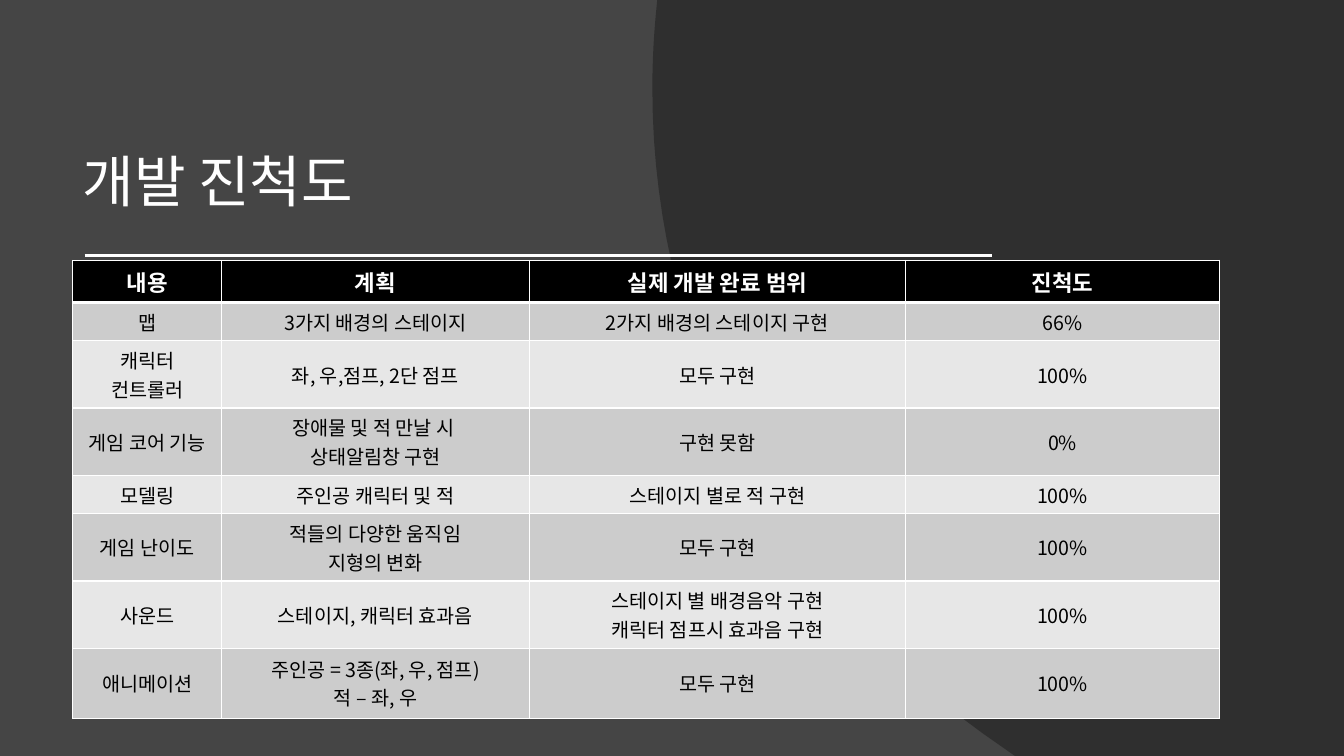
from lxml import etree
from pptx import Presentation
from pptx import util as u
from pptx.dml import color
from pptx.enum import shapes, text
from pptx.oxml import ns

FONT = "Noto Sans CJK KR"
WHITE, BLACK = "FFFFFF", "000000"
BANDS = ("CCCCCC", "E7E7E7")
COLUMNS = (106.5, 219.5, 269, 224)
HEIGHTS = (30, 27.5, 48, 48, 27.5, 48, 48, 50)
PROGRESS = (
    ("내용", "계획", "실제 개발 완료 범위", "진척도"),
    ("맵", "3가지 배경의 스테이지", "2가지 배경의 스테이지 구현", "66%"),
    ("캐릭터 컨트롤러", "좌, 우,점프, 2단 점프", "모두 구현", "100%"),
    ("게임 코어 기능", "장애물 및 적 만날 시 \n상태알림창 구현", "구현 못함", "0%"),
    ("모델링", "주인공 캐릭터 및 적", "스테이지 별로 적 구현", "100%"),
    ("게임 난이도", "적들의 다양한 움직임\n지형의 변화", "모두 구현", "100%"),
    ("사운드", "스테이지, 캐릭터 효과음",
     "스테이지 별 배경음악 구현\n캐릭터 점프시 효과음 구현", "100%"),
    ("애니메이션", "주인공 = 3종(좌, 우, 점프)\n적 – 좌, 우", "모두 구현", "100%"),
)


def rgb(value):
    return color.RGBColor.from_string(value)


def add_child(parent, tag, **attributes):
    return etree.SubElement(parent, ns.qn(tag), attributes)


def paint(fill, value):
    fill.solid()
    fill.fore_color.rgb = rgb(value)


def write(frame, words, size, ink, bold=False, align=text.PP_ALIGN.LEFT,
          spacing=None, after=None):
    frame.word_wrap = True
    for index, line in enumerate(words.split("\n")):
        para = frame.add_paragraph() if index else frame.paragraphs[0]
        para.alignment = align
        para.line_spacing = spacing
        para.space_after = after
        span = para.add_run()
        span.text = line
        span.font.size = u.Pt(size)
        span.font.bold = bold
        span.font.name = FONT
        span.font.color.rgb = rgb(ink)
        add_child(span.font._element, "a:ea", typeface=FONT)


def bezier(start, first, second, end, steps=32):
    for step in range(1, steps + 1):
        t = step / steps
        weights = ((1 - t) ** 3, 3 * t * (1 - t) ** 2, 3 * t * t * (1 - t), t ** 3)
        yield tuple(sum(w * point[axis] for w, point in
                        zip(weights, (start, first, second, end))) for axis in (0, 1))


def draw_backdrop(page, box):
    left, top, width, height = box
    bottom_bend, side, top_bend = (250.5, 534), (0, 63.5), (3, 5)
    outline = [(width, 0), (width, height), (259, height), bottom_bend]
    outline += bezier(bottom_bend, (99.5, 432), (0, 259), side)
    outline += bezier(side, (0, 44), (1, 24.5), top_bend)
    points = [(u.Pt(left + x), u.Pt(top + y)) for x, y in outline]
    builder = page.shapes.build_freeform(u.Pt(left + 3.5), u.Pt(top))
    builder.add_line_segments(points, close=True)
    backdrop = builder.convert_to_shape()
    backdrop.shadow.inherit = False
    paint(backdrop.fill, "262626")
    backdrop.line.fill.background()
    tint = backdrop._element.spPr.find(ns.qn("a:solidFill"))[0]
    add_child(tint, "a:alpha", val="70000")


def draw_heading(page, box):
    left, top, width, height = box
    rule_left, rule_top = left + 8.5, top + 153.5
    rule = page.shapes.add_connector(
        shapes.MSO_CONNECTOR.STRAIGHT, u.Pt(rule_left), u.Pt(rule_top),
        u.Pt(rule_left + 648), u.Pt(rule_top))
    rule.line.color.rgb = rgb(WHITE)
    rule.line.width = u.Pt(1.5)
    add_child(rule._element.spPr, "a:effectLst")
    heading = page.shapes.add_textbox(*map(u.Pt, (left, top, width, height)))
    heading.text_frame.vertical_anchor = text.MSO_ANCHOR.BOTTOM
    write(heading.text_frame, "개발 진척도", 40, WHITE, spacing=0.9, after=u.Pt(6))


def add_border(cell, side, width):
    properties = cell._tc.get_or_add_tcPr()
    line = add_child(properties, "a:ln" + side, w=str(u.Pt(width)))
    add_child(add_child(line, "a:solidFill"), "a:srgbClr", val=WHITE)


def draw_progress(page, box):
    frame = page.shapes.add_table(len(PROGRESS), len(COLUMNS), *map(u.Pt, box))
    table = frame.table
    for column, width in zip(table.columns, COLUMNS):
        column.width = u.Pt(width)
    for row, height in zip(table.rows, HEIGHTS):
        row.height = u.Pt(height)
    for r, entries in enumerate(PROGRESS):
        header = r == 0
        for c, words in enumerate(entries):
            cell = table.cell(r, c)
            cell.vertical_anchor = text.MSO_ANCHOR.MIDDLE
            for side in "LRTB":
                heavy = (r, side) in ((0, "B"), (1, "T"))
                add_border(cell, side, 3 if heavy else 1)
            paint(cell.fill, BLACK if header else BANDS[(r - 1) % 2])
            write(cell.text_frame, words, 16 if header else 14,
                  WHITE if header else BLACK, bold=header,
                  align=text.PP_ALIGN.CENTER)


deck = Presentation()
deck.slide_width, deck.slide_height = u.Pt(960), u.Pt(540)
page = deck.slides.add_slide(deck.slide_layouts[6])
paint(page.background.fill, "454545")
draw_backdrop(page, (466, 0, 494, 540))
draw_heading(page, (52, 29, 710, 128))
draw_progress(page, (52, 186, sum(COLUMNS), sum(HEIGHTS)))
deck.save("out.pptx")
